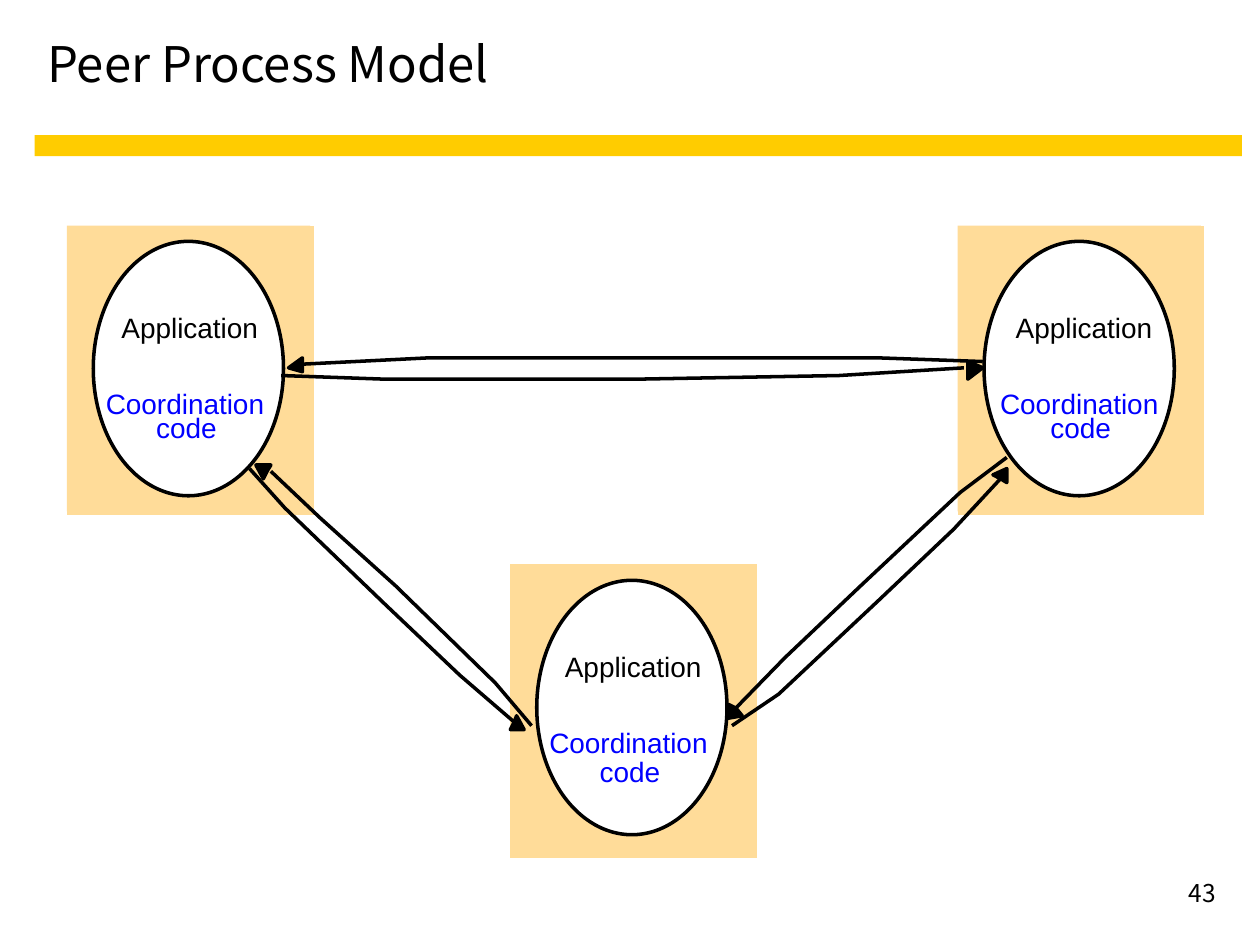
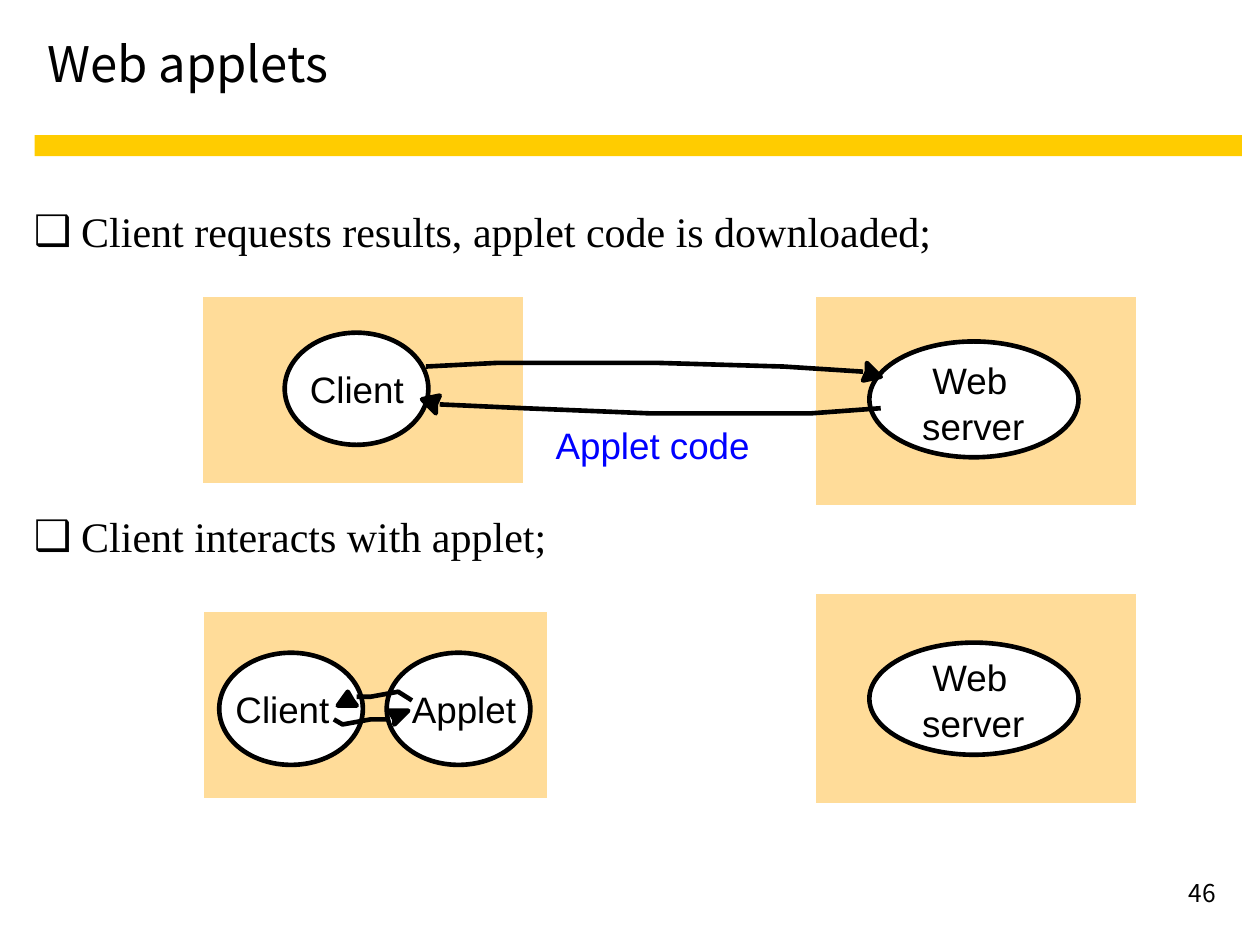
from dataclasses import dataclass

from lxml import etree
from pptx import Presentation
from pptx.dml.color import RGBColor
from pptx.enum import shapes, text
from pptx.oxml.ns import qn
from pptx.util import Pt


@dataclass(frozen=True)
class Theme:
    black: RGBColor = RGBColor(0x00, 0x00, 0x00)
    white: RGBColor = RGBColor(0xFF, 0xFF, 0xFF)
    blue: RGBColor = RGBColor(0x00, 0x00, 0xFF)
    band: RGBColor = RGBColor(0xFF, 0xCC, 0x00)
    panel: RGBColor = RGBColor(0xFF, 0xDC, 0x99)
    heading_font: str = "Noto Sans CJK KR"
    body_font: str = "Times New Roman"
    label_font: str = "Arial"
    title_size: float = 28
    body_size: float = 24
    number_size: float = 14
    peer_label_size: float = 16
    applet_label_size: float = 21


T = Theme()
RECT = shapes.MSO_SHAPE.RECTANGLE
OVAL = shapes.MSO_SHAPE.OVAL

# Label widths, with room for the whole word on one line
WIDTHS = {
    "Application": 79, "Coordination": 91.5, "code": 35.5,
    "Client": 55, "Web": 49, "server": 60, "Applet": 61, "Applet code": 112,
}

# Peers: left, top, panel height, label shift, top of "code" within the panel
PEERS = [
    (547.2, 128.9, 163.4, 2, 105.8),
    (291.6, 322.6, 165.6, 0, 108.7),
    (38.2, 128.9, 163.4, 0, 105.8),
]

# Arrows: (head outline, shaft points)
PEER_ARROWS = [
    ([(293.8, 412.6), (295.2, 409), (299.5, 416.9), (291.6, 416.9)],
     [(293.8, 412.6), (262.8, 385.9), (220.3, 345.6), (162.7, 290.2), (142.6, 267.8)]),
    ([(152.6, 269.3), (150.5, 273.6), (146.2, 265.7), (154.8, 265.7)],
     [(154.8, 269.3), (182.9, 295.9), (226.1, 334.8), (283, 390.2), (303.8, 414.7)]),
    ([(553, 210.2), (553, 206.6), (561.6, 210.2), (553, 216.7)],
     [(550.8, 210.2), (479.5, 214.6), (362.9, 216.7), (220.3, 216.7), (160.6, 214.6)]),
    ([(172.8, 208.1), (172.8, 212.4), (164.9, 210.2), (172.8, 204.5)],
     [(172.8, 208.1), (244.8, 204.5), (360.7, 204.5), (501.8, 204.5), (561.6, 206.6)]),
    ([(420.5, 404.6), (424.1, 409), (416.2, 410.4), (416.2, 402.5)],
     [(420.5, 404.6), (448.6, 375.8), (491.8, 334.8), (548.6, 281.5), (575.3, 261.4)]),
    ([(571.7, 273.6), (567.4, 271.4), (575.3, 267.8), (575.3, 275.8)],
     [(571.7, 273.6), (545, 302.4), (501.8, 343.4), (445, 396.7), (418.3, 414.7)]),
]

# Bullets: text, space before
APPLET_BULLETS = [
    ("Client requests results, applet code is downloaded;", 6),
    ("Client interacts with applet;", 145.5),
]
APPLET_PANELS = [
    (116.6, 169.9, 180, 103.7),
    (466.6, 169.9, 180, 116.6),
    (116.6, 349.9, 193.7, 103.7),
    (466.6, 339.8, 180, 116.6),
]
APPLET_OVALS = [
    (162.7, 190.1, 82.1, 64.1),
    (496.8, 195.1, 119.5, 66.2),
    (125.3, 373, 82.1, 64.1),
    (496.8, 367.2, 119.5, 64.1),
    (221, 373, 82.1, 64.1),
]
APPLET_LABELS = [
    ("Client", 177.1, 209.5, T.black),
    ("Web", 532.8, 204.5, T.black),
    ("server", 527, 230.8, T.black),
    ("Client", 134.6, 392.4, T.black),
    ("Web", 532.8, 374.4, T.black),
    ("server", 527, 400.3, T.black),
    ("Applet", 235.4, 392.4, T.black),
    ("Applet code", 317.5, 241.6, T.blue),
]
APPLET_ARROWS = [
    ([(249.1, 231.1), (249.1, 236.2), (241.2, 228.2), (251.3, 226.1)],
     [(251.3, 231.1), (299.5, 233.3), (370.8, 236.2), (463.7, 236.2), (503.3, 233.3)]),
    ([(495.4, 212.4), (495.4, 207.4), (503.3, 215.3), (493.2, 217.4)],
     [(493.2, 212.4), (447.8, 209.5), (376.6, 207.4), (283.7, 207.4), (243.4, 209.5)]),
    ([(225.4, 411.1), (222.5, 406.1), (233.3, 406.1), (225.4, 414)],
     [(222.5, 411.1), (217.4, 411.1), (211.7, 411.1), (195.8, 414), (190.8, 411.1)]),
    ([(201.6, 400.3), (203.8, 403.2), (193, 403.2), (198.7, 395.3)],
     [(203.8, 398.2), (206.6, 398.2), (211.7, 398.2), (227.5, 395.3), (235.4, 400.3)]),
]


def paint(sp, fill=None, line=None, weight=0):
    sp.shadow.inherit = False
    if fill is None:
        sp.fill.background()
    else:
        sp.fill.solid()
        sp.fill.fore_color.rgb = fill
    if line is None:
        sp.line.fill.background()
    else:
        sp.line.color.rgb = line
        sp.line.width = Pt(weight)


def add_box(s, kind, box, **style):
    sp = s.shapes.add_shape(kind, *map(Pt, box))
    paint(sp, **style)
    return sp


def add_run(p, words, font, size, color):
    r = p.add_run()
    r.text = words
    r.font.name = font
    r.font.size = Pt(size)
    r.font.color.rgb = color


def place(sp, left, top, width, height):
    sp.left, sp.top, sp.width, sp.height = map(Pt, (left, top, width, height))


def add_base_slide(prs, layout, title, number):
    """Add a slide with its title, yellow band and slide number."""
    s = prs.slides.add_slide(prs.slide_layouts.get_by_name(layout))
    add_box(s, RECT, (19.8, 77.2, 689.8, 12), fill=T.band)

    sp = s.shapes.title
    place(sp, 19.8, 9, 689.8, 54)
    sp.text_frame.vertical_anchor = text.MSO_ANCHOR.MIDDLE
    p = sp.text_frame.paragraphs[0]
    p.alignment = text.PP_ALIGN.LEFT
    add_run(p, title, T.heading_font, T.title_size, T.black)

    sp = s.shapes.add_textbox(*map(Pt, (552.2, 498.2, 149.8, 36)))
    sp.text_frame.word_wrap = True
    p = sp.text_frame.paragraphs[0]
    p.alignment = text.PP_ALIGN.RIGHT
    add_run(p, number, T.heading_font, T.number_size, T.black)
    return s


def add_panel(s, box, weight):
    """Add a filled panel and its square-cornered frame, set slightly down and right."""
    left, top, width, height = box
    add_box(s, RECT, box, fill=T.panel)
    frame = add_box(s, RECT, (left + 1, top + 1, width, height),
                    line=T.panel, weight=weight)
    ln = frame._element.spPr.find(qn("a:ln"))
    etree.SubElement(ln, qn("a:miter")).set("lim", "800000")


def add_oval(s, box, weight):
    add_box(s, OVAL, box, fill=T.white, line=T.black, weight=weight)


def add_label(s, words, left, top, size, color):
    box = (left, top, WIDTHS[words], size * 1.2)
    tf = s.shapes.add_textbox(*map(Pt, box)).text_frame
    tf.margin_left = tf.margin_top = tf.margin_right = tf.margin_bottom = 0
    tf.word_wrap = False
    tf.auto_size = text.MSO_AUTO_SIZE.SHAPE_TO_FIT_TEXT
    add_run(tf.paragraphs[0], words, T.label_font, size, color)


def add_outline(s, points, closed, weight):
    start, *rest = [(Pt(x), Pt(y)) for x, y in points]
    builder = s.shapes.build_freeform(*start)
    builder.add_line_segments(rest, close=closed)
    paint(builder.convert_to_shape(), fill=T.black if closed else None,
          line=T.black, weight=weight)


def add_arrows(s, arrows, weight):
    for head, shaft in arrows:
        add_outline(s, head, True, weight)
        add_outline(s, shaft, False, weight)


def add_bullets(s, bullets):
    sp = s.placeholders[1]
    place(sp, 12.2, 113.8, 689.6, 378)
    tf = sp.text_frame
    for i, (words, space) in enumerate(bullets):
        p = tf.add_paragraph() if i else tf.paragraphs[0]
        p.space_before = Pt(space)
        pPr = p._p.get_or_add_pPr()
        pPr.set("marL", str(Pt(27)))
        pPr.set("indent", str(Pt(-27)))
        etree.SubElement(pPr, qn("a:buChar")).set("char", "❑")
        add_run(p, words, T.body_font, T.body_size, T.black)


def build_peer_slide(prs):
    s = add_base_slide(prs, "Title Only", "Peer Process Model", "43")
    weight = 2
    for left, top, height, shift, code_top in PEERS:
        add_panel(s, (left, top, 139, height), weight)
        add_oval(s, (left + 15.1, top + 9, 108.7, 145.4), weight)
        for words, dx, dy, color in [
            ("Application", 31.2, 48.8, T.black),
            ("Coordination", 22.3, 91.8, T.blue),
            ("code", 51.1, code_top, T.blue),
        ]:
            add_label(s, words, left + dx + shift, top + dy, T.peer_label_size, color)
    add_arrows(s, PEER_ARROWS, weight)


def build_applet_slide(prs):
    s = add_base_slide(prs, "Title and Content", "Web applets", "46")
    weight = 2.64
    add_bullets(s, APPLET_BULLETS)
    for box in APPLET_PANELS:
        add_panel(s, box, weight)
    for box in APPLET_OVALS:
        add_oval(s, box, weight)
    add_arrows(s, APPLET_ARROWS, weight)
    for words, left, top, color in APPLET_LABELS:
        add_label(s, words, left, top, T.applet_label_size, color)


def main():
    prs = Presentation()
    prs.slide_width, prs.slide_height = Pt(720), Pt(540)
    build_peer_slide(prs)
    build_applet_slide(prs)
    prs.save("out.pptx")


if __name__ == "__main__":
    main()
